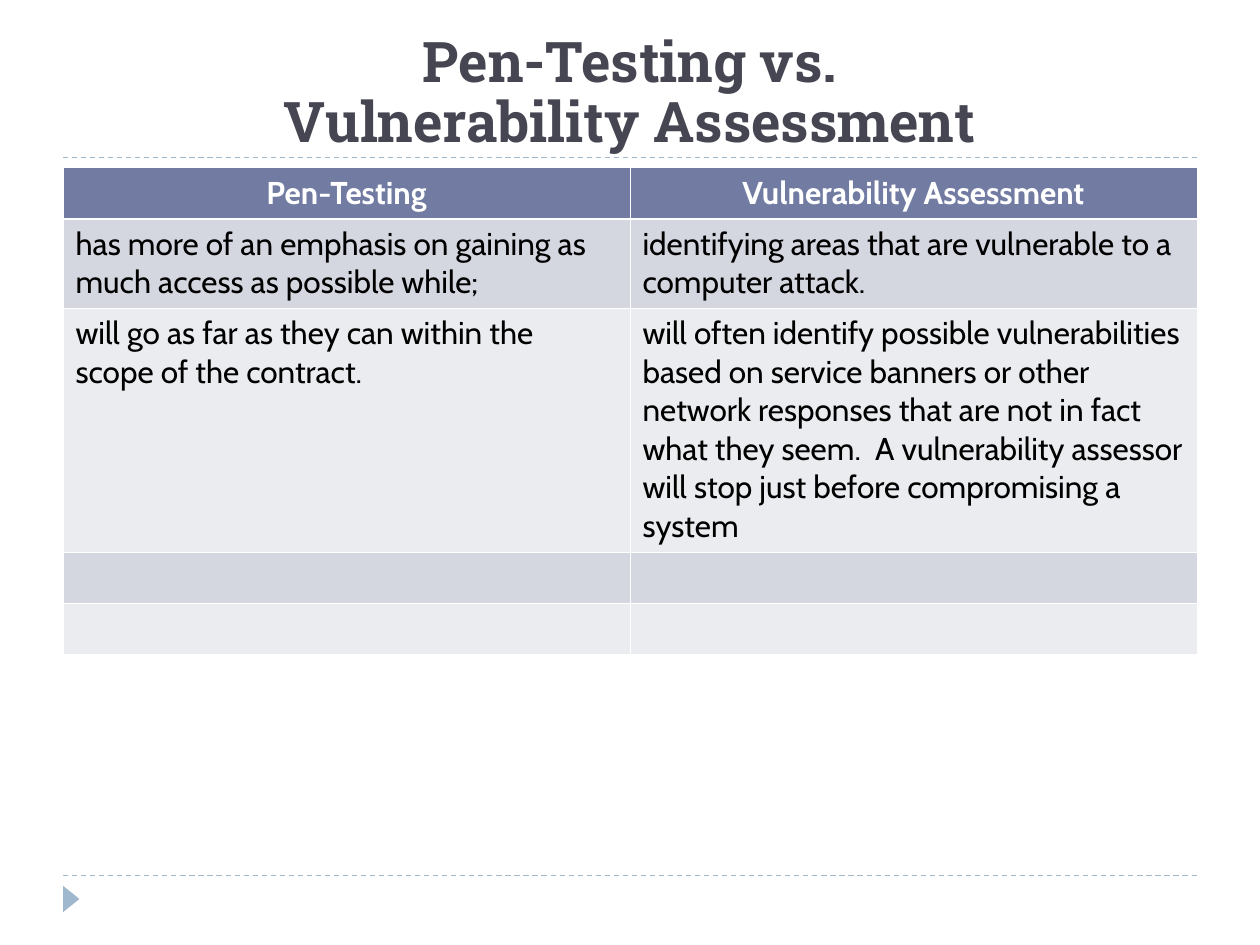
from lxml import etree
from pptx import Presentation
from pptx.dml.color import RGBColor
from pptx.enum import dml, shapes, text
from pptx.oxml.ns import qn
from pptx.util import Inches, Pt

WHITE = RGBColor(0xFF, 0xFF, 0xFF)
BLACK = RGBColor(0, 0, 0)
INK = RGBColor(0x46, 0x46, 0x53)
ACCENT = RGBColor(0x9F, 0xB8, 0xCD)
HEAD = RGBColor(0x72, 0x7C, 0xA3)
BANDS = [RGBColor(0xD5, 0xD7, 0xE0), RGBColor(0xEB, 0xEC, 0xF0)]

ROWS = [
    ("Pen-Testing", "Vulnerability Assessment"),
    ("has more of an emphasis on gaining as much access as possible while;",
     "identifying areas that are vulnerable to a computer attack."),
    ("will go as far as they can within the scope of the contract.",
     "will often identify possible vulnerabilities based on service banners "
     "or other network responses that are not in fact what they seem.  "
     "A vulnerability assessor will stop just before compromising a system"),
    ("", ""),
    ("", ""),
]
HEIGHTS = [0.4, 0.7, 1.94, 0.4, 0.4]


def style(para, name, size, color, bold):
    font = para.font
    font.name, font.size, font.bold = name, Pt(size), bold
    font.color.rgb = color


def add_rule(slide, left, top, width):
    y = Inches(top)
    rule = slide.shapes.add_connector(
        shapes.MSO_CONNECTOR.STRAIGHT, Inches(left), y, Inches(left + width), y)
    rule.line.color.rgb = ACCENT
    rule.line.width = Pt(0.75)
    rule.line.dash_style = dml.MSO_LINE.DASH
    etree.SubElement(rule._element.spPr, qn("a:effectLst"))


def add_frame(slide, left, top, width, height):
    """Draw the rules above and below the body and the footer marker."""
    add_rule(slide, left, top + height, width)
    add_rule(slide, left, top, width)
    mark = slide.shapes.add_shape(
        shapes.MSO_SHAPE.ISOSCELES_TRIANGLE, Inches(left - 0.04),
        Inches(top + height + 0.12), Inches(0.21), Inches(0.13))
    mark.rotation = 90
    mark.shadow.inherit = False
    mark.fill.solid()
    mark.fill.fore_color.rgb = ACCENT
    mark.line.fill.background()


def set_title(slide, left, top, width, height):
    title = slide.shapes.title
    title.left, title.top = Inches(left), Inches(top)
    title.width, title.height = Inches(width), Inches(height)
    frame = title.text_frame
    frame.text = "Pen-Testing vs.\vVulnerability Assessment"
    frame.vertical_anchor = text.MSO_ANCHOR.BOTTOM
    frame.auto_size = text.MSO_AUTO_SIZE.NONE
    frame.margin_top, frame.margin_bottom = 0, Inches(0.02)
    para = frame.paragraphs[0]
    para.alignment = text.PP_ALIGN.CENTER
    para.line_spacing = 0.9
    style(para, "Roboto Slab", 32, INK, True)


def set_edges(cell, widths):
    """Give the cell white borders; widths maps a side to points."""
    props = cell._tc.get_or_add_tcPr()
    for side, width in widths.items():
        edge = etree.SubElement(props, qn("a:ln" + side), w=str(Pt(width)))
        fill = etree.SubElement(edge, qn("a:solidFill"))
        etree.SubElement(fill, qn("a:srgbClr"), val=str(WHITE))


def add_grid(slide, left, top, width):
    grid = slide.shapes.add_table(
        len(ROWS), len(ROWS[0]), Inches(left), Inches(top),
        Inches(width), Inches(sum(HEIGHTS))).table
    for i, (row, height) in enumerate(zip(ROWS, HEIGHTS)):
        grid.rows[i].height = Inches(height)
        head = i == 0
        edges = {"L": 0.45, "R": 0.45, "T": 1.47 if i == 1 else 0.45,
                 "B": 1.47 if head else 0.45}
        for j, words in enumerate(row):
            cell = grid.cell(i, j)
            set_edges(cell, edges)
            cell.fill.solid()
            cell.fill.fore_color.rgb = HEAD if head else BANDS[(i - 1) % 2]
            cell.text = words
            para = cell.text_frame.paragraphs[0]
            style(para, "Cabin", 18, WHITE if head else BLACK, head)
            if head:
                para.alignment = text.PP_ALIGN.CENTER


def main():
    deck = Presentation()
    deck.slide_width, deck.slide_height = Inches(10), Inches(7.5)
    slide = deck.slides.add_slide(deck.slide_layouts[5])
    add_frame(slide, 0.5, 1.25, 9, 5.7)
    set_title(slide, 0.5, 0.17, 9, 1.08)
    add_grid(slide, 0.5, 1.33, 9)
    deck.save("out.pptx")


if __name__ == "__main__":
    main()
